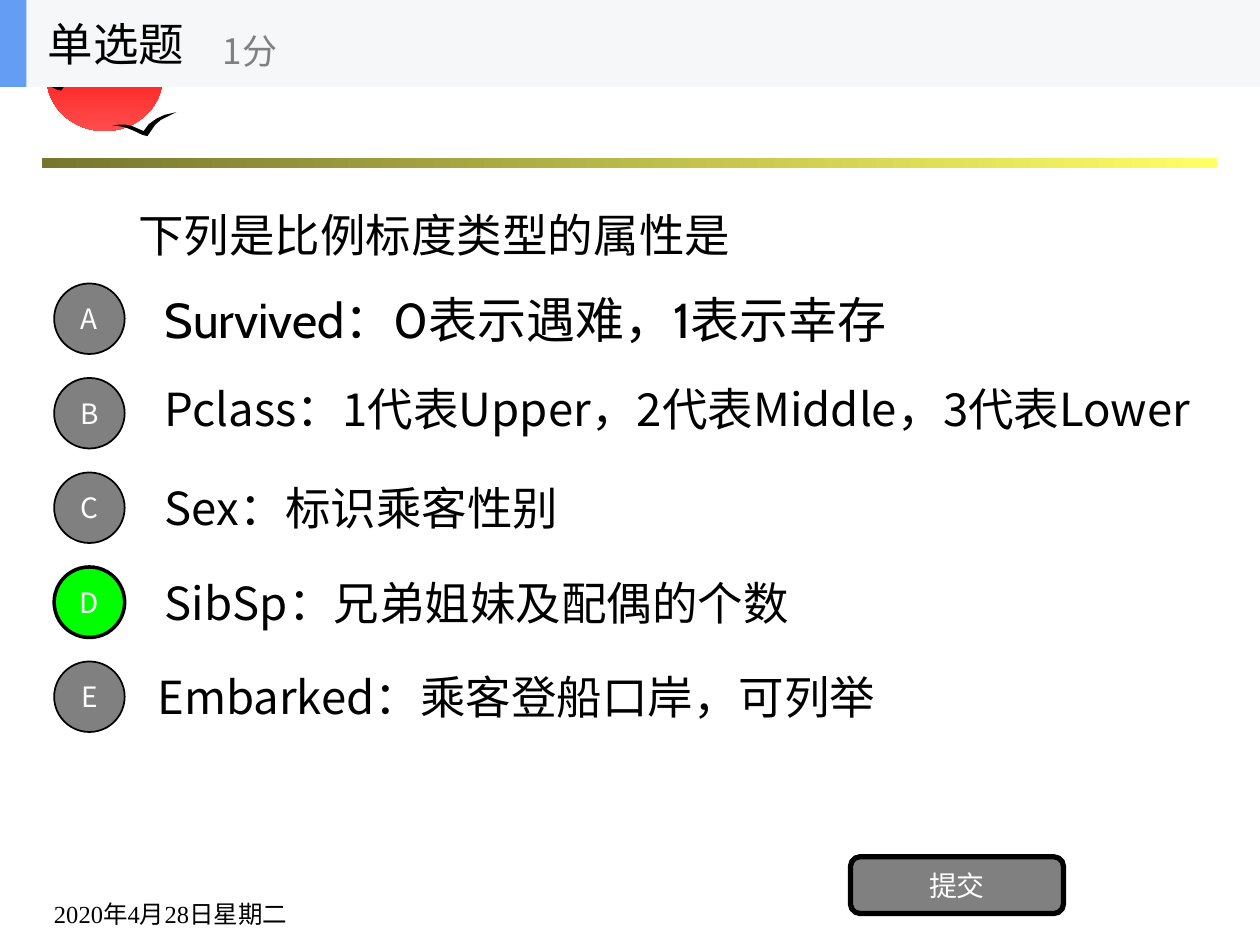
from dataclasses import dataclass

import pptx
import pptx.dml.color
import pptx.enum.shapes
import pptx.enum.text
import pptx.oxml.ns
import pptx.util
from lxml import etree

Inches = pptx.util.Inches
Pt = pptx.util.Pt
SHAPE = pptx.enum.shapes.MSO_SHAPE
ALIGN = pptx.enum.text.PP_ALIGN
ANCHOR = pptx.enum.text.MSO_ANCHOR

COLORS = {
    "black": "000000", "white": "FFFFFF", "gray": "808080",
    "correct": "00FF00", "header": "F6F7F8", "accent": "639EF4",
    "olive": "76762F", "yellow": "FFFF66", "red": "FF0000", "coral": "FF4C4C",
}
SANS = "Noto Sans CJK SC"
WING = [
    (0, .58), (.1, .52), (.2, .52), (.31, .58), (.49, .79), (.57, .5),
    (.69, .27), (.82, .11), (1, 0), (.88, .16), (.76, .32), (.67, .53),
    (.59, .84), (.55, 1), (.47, .95), (.33, .77), (.2, .63), (.08, .57),
]


@dataclass
class Box:
    left: float
    top: float
    width: float
    height: float

    def lengths(self) -> list:
        return [Inches(v) for v in (self.left, self.top, self.width, self.height)]


@dataclass
class Style:
    size: float = 26
    color: str = "black"
    font: str = SANS
    align: ALIGN = ALIGN.LEFT
    anchor: ANCHOR = ANCHOR.MIDDLE
    spacing: float = 1.0


@dataclass
class Option:
    letter: str
    text: str
    style: Style
    left: float = 1.21
    correct: bool = False


BUTTON = Style(size=16, color="white", align=ALIGN.CENTER)
OPTIONS = [
    Option("A", "Survived：0表示遇难，1表示幸存", Style(size=28, font="Cabin")),
    Option("B", "Pclass：1代表Upper，2代表Middle，3代表Lower", Style(spacing=0.83)),
    Option("C", "Sex：标识乘客性别", Style()),
    Option("D", "SibSp：兄弟姐妹及配偶的个数", Style(), correct=True),
    Option("E", "Embarked：乘客登船口岸，可列举", Style(), left=1.15),
]


def rgb(name: str) -> pptx.dml.color.RGBColor:
    return pptx.dml.color.RGBColor.from_string(COLORS[name])


def write(sp, text: str, style: Style) -> None:
    tf = sp.text_frame
    tf.word_wrap = True
    tf.vertical_anchor = style.anchor
    p = tf.paragraphs[0]
    for name, value in {"alignment": style.align, "line_spacing": style.spacing}.items():
        setattr(p, name, value)
    r = p.add_run()
    r.text = text
    for name, value in {"size": Pt(style.size), "name": style.font}.items():
        setattr(r.font, name, value)
    r.font.color.rgb = rgb(style.color)
    ea = etree.SubElement(r.font._element, pptx.oxml.ns.qn("a:ea"))
    ea.set("typeface", SANS)


def add_text(s, box: Box, text: str, style: Style) -> None:
    write(s.shapes.add_textbox(*box.lengths()), text, style)


def add_solid(s, kind: SHAPE, box: Box, fill: str, line: float = 0):
    sp = s.shapes.add_shape(kind, *box.lengths())
    sp.shadow.inherit = False
    sp.fill.solid()
    sp.fill.fore_color.rgb = rgb(fill)
    if line:
        sp.line.color.rgb = rgb("black")
        sp.line.width = Pt(line)
    else:
        sp.line.fill.background()
    return sp


def add_gradient(s, kind: SHAPE, box: Box, stops: tuple[str, str], angle: float) -> None:
    sp = add_solid(s, kind, box, stops[0])
    sp.fill.gradient()
    sp.fill.gradient_angle = angle
    for stop, color, position in zip(sp.fill.gradient_stops, stops, (0, 1)):
        stop.color.rgb = rgb(color)
        stop.position = position


def add_bird(s, box: Box) -> None:
    points = [(Inches(box.left + x * box.width), Inches(box.top + y * box.height))
              for x, y in WING]
    builder = s.shapes.build_freeform(*points[0])
    builder.add_line_segments(points[1:], close=True)
    sp = builder.convert_to_shape()
    sp.shadow.inherit = False
    sp.fill.solid()
    sp.fill.fore_color.rgb = rgb("black")
    sp.line.fill.background()


def add_button(s, kind: SHAPE, box: Box, text: str, fill: str, line: float) -> None:
    sp = add_solid(s, kind, box, fill, line)
    for side in ("left", "right", "top", "bottom"):
        setattr(sp.text_frame, f"margin_{side}", 0)
    write(sp, text, BUTTON)


def add_option(s, row: int, option: Option) -> None:
    top = 2.18 + 0.75 * row
    add_text(s, Box(option.left, top, 8.43, 0.7), option.text, option.style)
    fill, line = ("correct", 2) if option.correct else ("gray", 1)
    add_button(s, SHAPE.OVAL, Box(0.43, top + 0.07, 0.56, 0.56), option.letter, fill, line)


def main() -> None:
    prs = pptx.Presentation()
    prs.slide_width, prs.slide_height = Inches(10), Inches(7.5)
    s = prs.slides.add_slide(prs.slide_layouts[6])

    add_gradient(s, SHAPE.RECTANGLE, Box(0.33, 1.25, 9.33, 0.08), ("olive", "yellow"), 0)
    add_gradient(s, SHAPE.OVAL, Box(0.37, 0.19, 0.92, 0.85), ("red", "coral"), 270)
    for box in (Box(0.25, 0.56, 0.43, 0.16), Box(0.89, 0.89, 0.51, 0.19)):
        add_bird(s, box)

    add_text(s, Box(0.33, 6.92, 2.75, 0.5), "2020年4月28日星期二",
             Style(size=14, font="Times New Roman", anchor=ANCHOR.BOTTOM))
    add_text(s, Box(1, 0.69, 8, 2.34), "下列是比例标度类型的属性是", Style())
    for row, option in enumerate(OPTIONS):
        add_option(s, row, option)
    add_button(s, SHAPE.ROUNDED_RECTANGLE, Box(6.75, 6.8, 1.69, 0.45), "提交", "gray", 3)

    add_solid(s, SHAPE.RECTANGLE, Box(0, 0, 10, 0.69), "header")
    add_solid(s, SHAPE.RECTANGLE, Box(0, 0, 0.21, 0.69), "accent")
    add_text(s, Box(0.28, 0, 2.08, 0.69), "单选题", Style())
    add_text(s, Box(1.67, 0.12, 2.5, 0.56), "1分", Style(size=20, color="gray"))

    prs.save("out.pptx")


if __name__ == "__main__":
    main()
